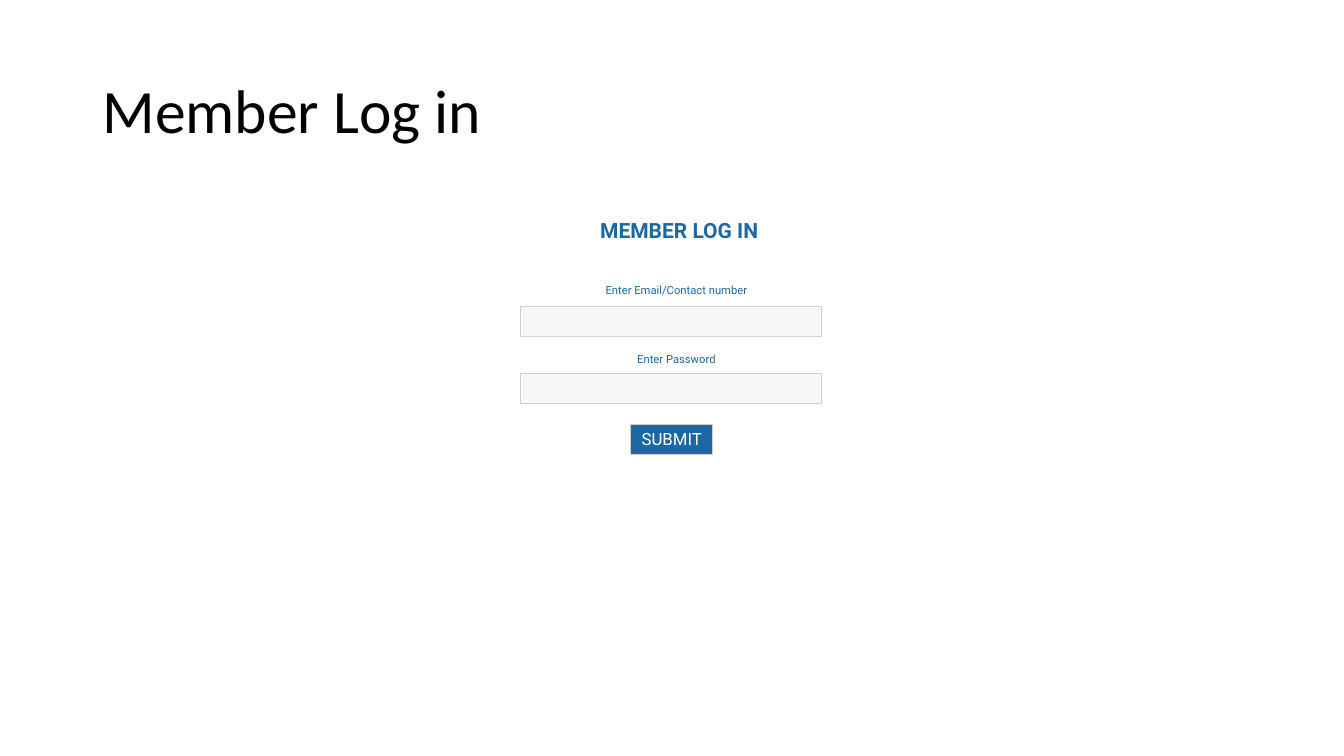
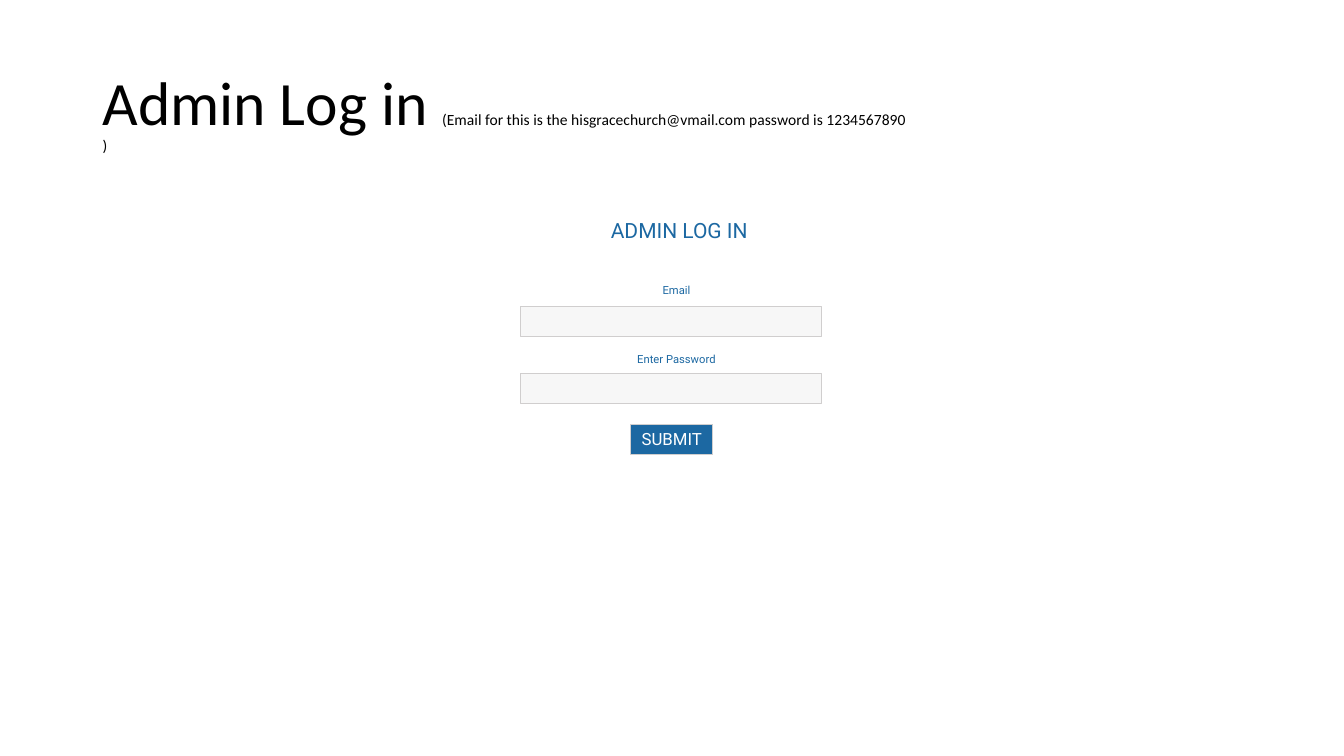
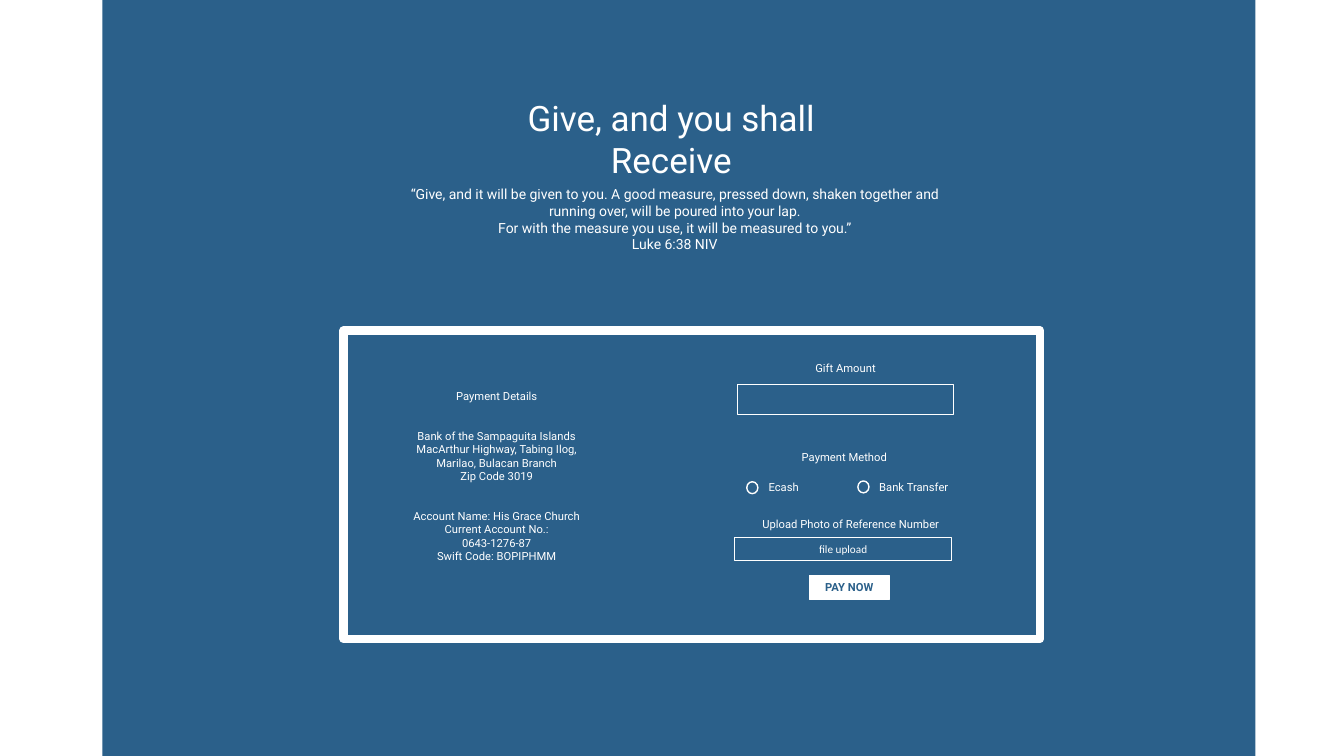
import dataclasses

import pptx
import pptx.dml.color
import pptx.enum.shapes
import pptx.enum.text
import pptx.util

Cm, Pt = pptx.util.Cm, pptx.util.Pt
SHAPE = pptx.enum.shapes.MSO_SHAPE
ALIGN = pptx.enum.text.PP_ALIGN
ANCHOR = pptx.enum.text.MSO_ANCHOR
NO_FIT = pptx.enum.text.MSO_AUTO_SIZE.NONE


# Theme
@dataclasses.dataclass(frozen=True)
class Style:
    size: float
    color: str
    font: str = "Roboto"
    bold: bool = False


@dataclasses.dataclass(frozen=True)
class Theme:
    white: str = "FFFFFF"
    blue: str = "1C68A2"
    band: str = "2B608A"
    field: str = "F7F7F7"
    edge: str = "D0CECE"
    title: Style = Style(44, "000000", "Calibri")
    note: Style = Style(11.1, "000000", "Calibri")
    form_title: Style = Style(15, "1C68A2")
    form_title_bold: Style = Style(15, "1C68A2", bold=True)
    form_label: Style = Style(8, "1C68A2")
    submit: Style = Style(12, "FFFFFF")
    heading: Style = Style(25, "FFFFFF")
    verse: Style = Style(10, "FFFFFF")
    label: Style = Style(8, "FFFFFF")
    upload: Style = Style(8, "FFFFFF", "Calibri")
    pay: Style = Style(8, "2B608A", bold=True)
    group_gap: float = 19


THEME = Theme()

# Content
LOGINS = [
    {
        "title": [("Member Log in", THEME.title)],
        "form": ("MEMBER LOG IN", THEME.form_title_bold),
        "fields": [("Enter Email/Contact number", 5.28), ("Enter Password", 4.06)],
    },
    {
        "title": [
            ("Admin Log in ", THEME.title),
            ("(Email for this is the hisgracechurch@vmail.com password is 1234567890", THEME.note),
            ("\n", THEME.note),
            (")", THEME.note),
        ],
        "form": ("ADMIN LOG IN", THEME.form_title),
        "fields": [("Email", 5.28), ("Enter Password", 4.06)],
    },
]
HEADING = ["Give, and you shall", "Receive"]
VERSE = [
    "“Give, and it will be given to you. A good measure, pressed down, "
    "shaken together and running over, will be poured into your lap.",
    "For with the measure you use, it will be measured to you.”",
    "Luke 6:38 NIV",
]
PAYMENT_DETAILS = [
    ["Payment Details"],
    [
        "Bank of the Sampaguita Islands",
        "MacArthur Highway, Tabing Ilog, Marilao, Bulacan Branch",
        "Zip Code 3019",
    ],
    [
        "Account Name: His Grace Church",
        "Current Account No.:",
        "0643-1276-87",
        "Swift Code: BOPIPHMM",
    ],
]
# Text, left, top, width in cm
GIFT_LABELS = [
    ("Gift Amount", 18.67, 8.97, 5.28),
    ("Payment Method", 19.25, 11.23, 4.06),
    ("Upload Photo of Reference Number", 18.69, 12.9, 5.51),
]
# Text, text left, button left, button top in cm
METHODS = [("Ecash", 18.44, 18.82, 12.14), ("Bank Transfer", 21.72, 21.62, 12.12)]
LABEL_HEIGHT = 0.51


# Helpers
def rgb(color):
    return pptx.dml.color.RGBColor.from_string(color)


def add_span(para, text, style):
    if text == "\n":
        para.add_line_break()
        return
    span = para.add_run()
    span.text = text
    span.font.name = style.font
    span.font.size = Pt(style.size)
    span.font.bold = style.bold
    span.font.color.rgb = rgb(style.color)


def write(box, style, *groups, wrap=True):
    """Write centred lines from the top, with a gap between groups."""
    frame = box.text_frame
    frame.word_wrap = wrap
    frame.auto_size = NO_FIT
    frame.vertical_anchor = ANCHOR.TOP
    para = None
    for group in groups:
        for index, line in enumerate(group):
            opens_group = para is not None and index == 0
            para = frame.paragraphs[0] if para is None else frame.add_paragraph()
            para.alignment = ALIGN.CENTER
            para.space_before = Pt(THEME.group_gap if opens_group else 0)
            add_span(para, line, style)


def place(box, *lengths):
    box.left, box.top, box.width, box.height = (Cm(length) for length in lengths)


def add_text(page, lengths, style, *groups):
    box = page.shapes.add_textbox(*(Cm(length) for length in lengths))
    write(box, style, *groups)


def add_block(page, lengths, fill=None, line=None, weight=0.75, kind=SHAPE.RECTANGLE):
    block = page.shapes.add_shape(kind, *(Cm(length) for length in lengths))
    block.shadow.inherit = False
    if fill:
        block.fill.solid()
        block.fill.fore_color.rgb = rgb(fill)
    else:
        block.fill.background()
    if line:
        block.line.color.rgb = rgb(line)
        block.line.width = Pt(weight)
    else:
        block.line.fill.background()
    return block


# Slides
def add_login(deck, layout, login):
    page = deck.slides.add_slide(layout)
    frame = page.shapes.title.text_frame
    frame.auto_size = NO_FIT
    frame.vertical_anchor = ANCHOR.MIDDLE
    para = frame.paragraphs[0]
    para.alignment = ALIGN.LEFT
    para.line_spacing = 0.9
    for text, style in login["title"]:
        add_span(para, text, style)

    form_text, form_style = login["form"]
    write(add_block(page, (14.4, 5.36, 5.44, 0.91), THEME.white), form_style, [form_text])
    for row, (label, width) in enumerate(login["fields"]):
        label_at = (17.05 - width / 2, 7.01 + 1.75 * row, width, LABEL_HEIGHT)
        write(add_block(page, label_at, THEME.white), THEME.form_label, [label])
        add_block(page, (13.13, 7.72 + 1.7 * row, 7.57, 0.76), THEME.field, THEME.edge)
    submit = add_block(page, (15.9, 10.69, 2.06, 0.76), THEME.blue, THEME.edge)
    write(submit, THEME.submit, ["SUBMIT"], wrap=False)


def add_giving(deck, layout):
    page = deck.slides.add_slide(layout)
    band = add_block(page, (2.58, 0, 29.06, 19.05), THEME.band)
    heading = page.shapes.title
    band._element.addnext(heading._element)  # heading in front of the band
    place(heading, 11.91, 2.31, 10.01, 2.39)
    write(heading, THEME.heading, HEADING)
    add_text(page, (10.06, 4.55, 13.89, 1.96), THEME.verse, VERSE)

    # Payment panel
    add_block(page, (8.66, 8.33, 17.55, 7.77), line=THEME.white, weight=6)
    add_text(page, (9.88, 9.68, 5.28, LABEL_HEIGHT), THEME.label, *PAYMENT_DETAILS)
    for text, left, top, width in GIFT_LABELS:
        add_text(page, (left, top, width, LABEL_HEIGHT), THEME.label, [text])
    for text, left, button_left, button_top in METHODS:
        add_text(page, (left, 11.97, 2.62, LABEL_HEIGHT), THEME.label, [text])
        add_block(page, (button_left, button_top, 0.28, 0.3), line=THEME.white,
                  weight=1, kind=SHAPE.OVAL)
    add_block(page, (18.59, 9.68, 5.44, 0.76), line=THEME.white)
    upload = add_block(page, (18.52, 13.54, 5.46, 0.58), line=THEME.white)
    write(upload, THEME.upload, ["file upload"])
    pay = add_block(page, (20.4, 14.5, 2.01, 0.61), THEME.white, THEME.white, 0.5)
    write(pay, THEME.pay, ["PAY NOW"])


def main():
    deck = pptx.Presentation()
    deck.slide_width, deck.slide_height = Cm(33.87), Cm(19.05)
    layout = deck.slide_layouts.get_by_name("Title Only")
    place(layout.placeholders[0], 2.33, 1.02, 29.21, 3.68)
    for login in LOGINS:
        add_login(deck, layout, login)
    add_giving(deck, layout)
    deck.save("out.pptx")


if __name__ == "__main__":
    main()
